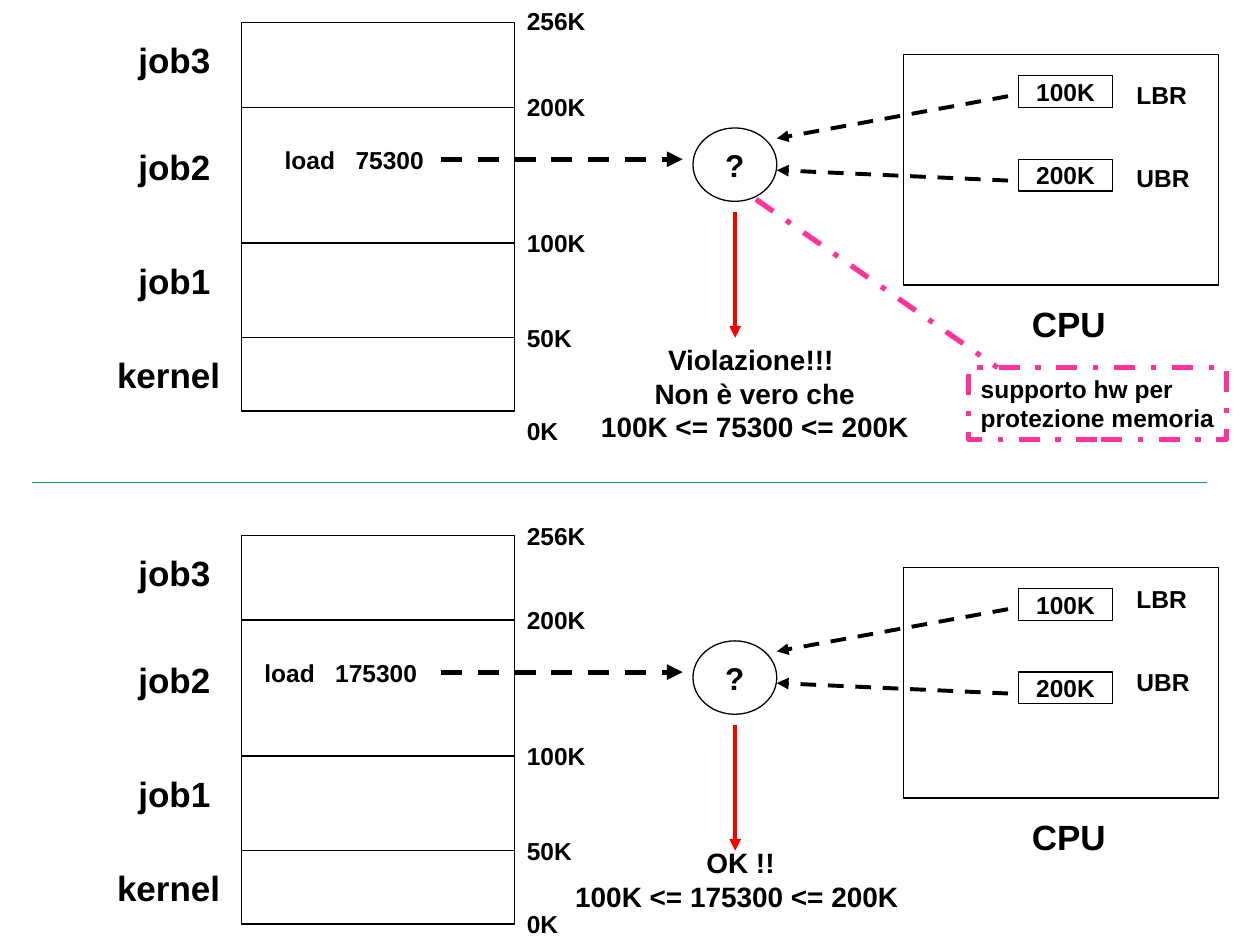
from dataclasses import dataclass

from lxml.etree import SubElement
from pptx import Presentation
from pptx.dml.color import RGBColor
from pptx.enum.dml import MSO_LINE
from pptx.enum.shapes import MSO_CONNECTOR, MSO_SHAPE
from pptx.enum.text import MSO_ANCHOR, MSO_AUTO_SIZE, PP_ALIGN
from pptx.oxml.ns import qn
from pptx.util import Cm, Pt


@dataclass(frozen=True)
class Theme:
    """Colours, font and sizes of the slide."""
    font: str = "Arial"
    ink: RGBColor = RGBColor(0, 0, 0)
    paper: RGBColor = RGBColor(255, 255, 255)
    alert: RGBColor = RGBColor(255, 0, 0)
    pink: RGBColor = RGBColor(255, 51, 153)
    teal: RGBColor = RGBColor(0, 153, 153)
    small: Pt = Pt(14)
    mid: Pt = Pt(16)
    mark: Pt = Pt(18)
    big: Pt = Pt(20)
    thin: Pt = Pt(0.75)
    bold: Pt = Pt(2.25)
    thick: Pt = Pt(3)


THEME = Theme()


def apply(item, **style):
    """Set each given value on the item."""
    for name, value in style.items():
        setattr(item, name, value)


def write(shape, text, size, align=PP_ALIGN.LEFT, **frame):
    """Fill a shape with bold lines of text."""
    body = shape.text_frame
    body.text = text
    apply(body, word_wrap=False, **frame)
    for line in body.paragraphs:
        line.alignment = align
        apply(line.font, name=THEME.font, size=size, bold=True)
        line.font.color.rgb = THEME.ink


def label(slide, text, x, y, w, h, size, align=PP_ALIGN.LEFT):
    """Add a free text label."""
    box = slide.shapes.add_textbox(Cm(x), Cm(y), Cm(w), Cm(h))
    write(box, text, size, align, auto_size=MSO_AUTO_SIZE.SHAPE_TO_FIT_TEXT)


def stroke(item, color, width, dash=None):
    """Style the line of a shape or connector."""
    item.line.color.rgb = color
    apply(item.line, width=width, dash_style=dash)


def block(slide, x, y, w, h, text="", size=THEME.small, kind=MSO_SHAPE.RECTANGLE):
    """Add a white outlined shape with centred text."""
    shape = slide.shapes.add_shape(kind, Cm(x), Cm(y), Cm(w), Cm(h))
    shape.shadow.inherit = False
    shape.fill.solid()
    shape.fill.fore_color.rgb = THEME.paper
    stroke(shape, THEME.ink, THEME.thin)
    if text:
        write(shape, text, size, PP_ALIGN.CENTER, vertical_anchor=MSO_ANCHOR.MIDDLE)
    return shape


def link(slide, start, end, color=THEME.ink, width=THEME.thin, dash=None, arrow=False):
    """Join two points with a line or arrow."""
    ends = [Cm(v) for v in (*start, *end)]
    line = slide.shapes.add_connector(MSO_CONNECTOR.STRAIGHT, *ends)
    stroke(line, color, width, dash)
    if arrow:
        SubElement(line.line._get_or_add_ln(), qn("a:tailEnd"), type="triangle")
    SubElement(line._element.spPr, qn("a:effectLst"))


def memory(slide, top, first, base):
    """Draw the memory map with its jobs and limits."""
    left, wide, tall = 4.87, 5.5, 7.83
    block(slide, left, top, wide, tall)
    cuts = (1.7, 4.44, 6.35)
    for cut in cuts:
        link(slide, (left, top + cut), (left + wide, top + cut))
    jobs = (("job3", 0.2), ("job2", 2.34), ("job1", 4.65))
    for name, y in jobs:
        label(slide, name, 2.54, top + y, 1.96, 1.12, THEME.big)
    label(slide, "kernel", 2.11, top + 6.55, 2.59, 1.12, THEME.big)
    names = ("256K", "200K", "100K", "50K", "0K")
    for name, y in zip(names, (first, *cuts, base)):
        label(slide, name, left + wide, top + y - 0.43, 1.8, 0.86, THEME.small)


def unit(slide, top, shift):
    """Draw the processor with its two limit registers."""
    block(slide, 18.21, top + 0.64, 6.35, 4.65)
    rows = (("100K", "LBR"), ("200K", "UBR"))
    for row, (value, name) in enumerate(rows):
        y = top + 1.07 + 1.68 * row
        block(slide, 20.53, y, 1.9, 0.64, value)
        label(slide, name, 22.66, y - shift, 1.7, 0.86, THEME.small)
    label(slide, "CPU", 20.55, top + 5.51, 2.01, 1.12, THEME.big)


def check(slide, top):
    """Draw the address check and its arrows."""
    block(slide, 13.97, top + 2.12, 1.69, 1.48, "?", THEME.mark, MSO_SHAPE.OVAL)
    paths = (
        ((8.89, 2.75), (13.76, 2.75), THEME.ink, THEME.thick, MSO_LINE.DASH),
        ((20.32, 3.18), (15.66, 2.97), THEME.ink, THEME.bold, MSO_LINE.DASH),
        ((20.32, 1.48), (15.66, 2.33), THEME.ink, THEME.bold, MSO_LINE.DASH),
        ((14.82, 3.81), (14.82, 6.35), THEME.alert, THEME.bold, None),
    )
    for (ax, ay), (bx, by), *look in paths:
        link(slide, (ax, top + ay), (bx, top + by), *look, arrow=True)


def panel(slide, top, first, base, shift, load, verdict):
    """Draw one case of the bounds check."""
    memory(slide, top, first, base)
    unit(slide, top, shift)
    text, x, w = load
    label(slide, text, x, top + 2.34, w, 0.86, THEME.small)
    check(slide, top)
    text, x, y, w, h = verdict
    label(slide, text, x, top + y, w, h, THEME.mid, PP_ALIGN.CENTER)


def note(slide):
    """Add the hardware note and its leader."""
    box = block(slide, 19.52, 7.41, 5.21, 1.45)
    box.fill.background()
    stroke(box, THEME.pink, THEME.thick, MSO_LINE.DASH_DOT)
    write(box, "supporto hw per\nprotezione memoria", THEME.small,
          vertical_anchor=MSO_ANCHOR.TOP, auto_size=MSO_AUTO_SIZE.SHAPE_TO_FIT_TEXT)
    link(slide, (15.24, 4.02), (20.11, 7.41), THEME.pink, THEME.thick, MSO_LINE.DASH_DOT)


def main():
    """Build and save the slide."""
    deck = Presentation()
    apply(deck, slide_width=Cm(25.4), slide_height=Cm(19.05))
    slide = deck.slides.add_slide(deck.slide_layouts[6])
    wrong = "Violazione!!! \nNon è vero che\n100K <= 75300 <= 200K"
    right = "OK !!\n100K <= 175300 <= 200K "
    panel(slide, 10.8, 0, 7.84, 0.22, ("load   175300", 5.08, 3.73),
          (right, 11.22, 6.13, 7.42, 1.63))
    panel(slide, 0.46, -0.04, 8.23, 0.04, ("load   75300", 5.49, 3.45),
          (wrong, 11.86, 6.32, 6.71, 2.29))
    link(slide, (0.64, 9.73), (24.34, 9.73), THEME.teal)
    note(slide)
    deck.save("out.pptx")


if __name__ == "__main__":
    main()
